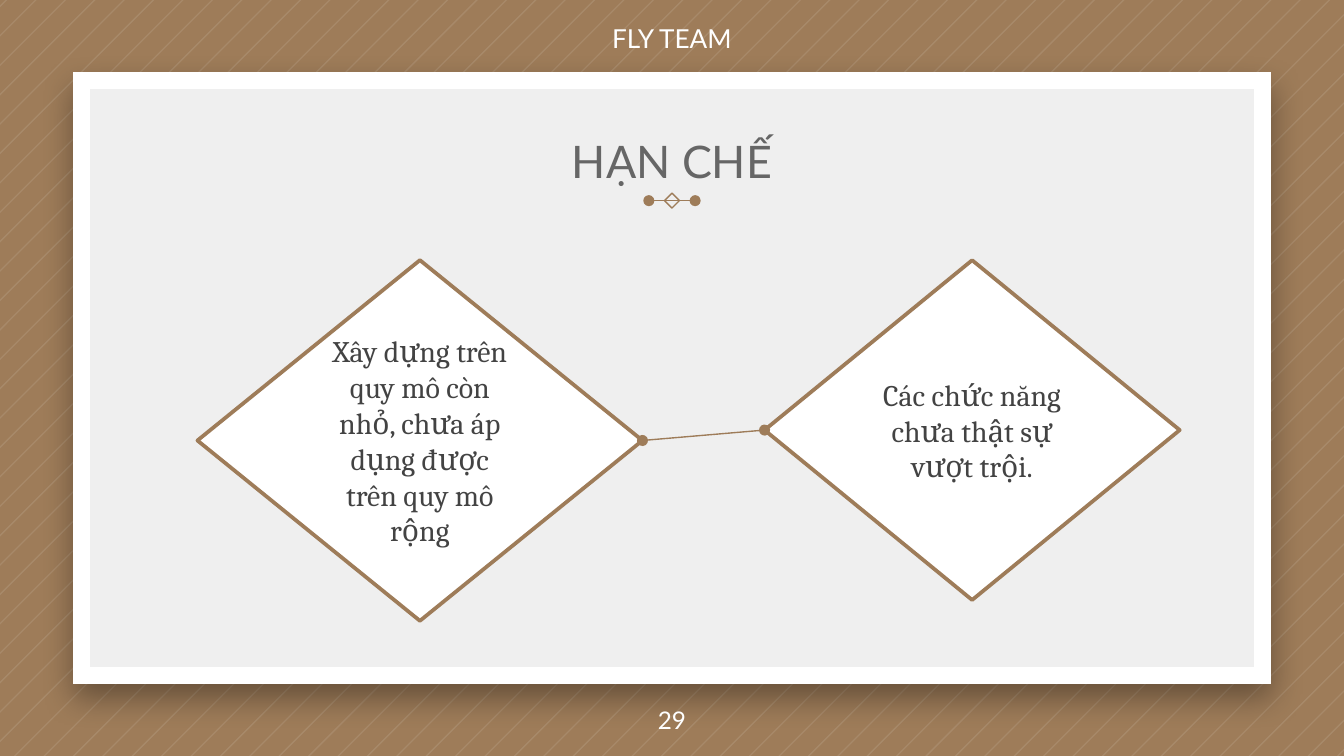
import pptx
import pptx.util
import pptx.dml.color
import pptx.enum.shapes
import pptx.enum.text
import pptx.oxml
import pptx.oxml.ns
from collections import namedtuple
from dataclasses import dataclass

Pt = pptx.util.Pt
SHAPE = pptx.enum.shapes.MSO_SHAPE
ANCHOR = pptx.enum.text.MSO_ANCHOR
Box = namedtuple("Box", "x y w h")


@dataclass(frozen=True)
class Theme:
    """Colours, fonts and type sizes of the slide."""
    brown: str = "9E7C59"
    white: str = "FFFFFF"
    panel: str = "EFEFEF"
    title: str = "666666"
    body: str = "434343"
    shadow: str = "000000"
    sans: str = "Lato"
    serif: str = "Cambria"
    title_size: int = 24
    body_size: int = 16
    header_size: int = 14
    number_size: int = 13


THEME = Theme()


def rgb(value):
    """Turn a hex string into a colour."""
    return pptx.dml.color.RGBColor.from_string(value)


def set_all(target, values):
    """Set every attribute named in a dict."""
    for name, value in values.items():
        setattr(target, name, value)


def add_xml(parent, xml):
    """Append a drawing element given as XML and return it."""
    head, gap, tail = xml.partition(" ")
    ns = pptx.oxml.ns.nsdecls("a")
    element = pptx.oxml.parse_xml(f"<a:{head} {ns} {tail}/>")
    parent.append(element)
    return element


def find_xml(parent, name):
    """Find the first drawing element of a name below the parent."""
    return parent.find(".//" + pptx.oxml.ns.qn("a:" + name))


def place(box):
    """Give a box in points as python-pptx lengths."""
    return [Pt(v) for v in box]


def write(sp, text, font, size, color, anchor=ANCHOR.MIDDLE, side=7.2):
    """Write one centred paragraph into a shape."""
    tf = sp.text_frame
    set_all(tf, dict(word_wrap=True, vertical_anchor=anchor,
                     auto_size=pptx.enum.text.MSO_AUTO_SIZE.NONE,
                     margin_left=Pt(side), margin_right=Pt(side),
                     margin_top=Pt(7.2), margin_bottom=Pt(7.2)))
    p = tf.paragraphs[0]
    p.alignment = pptx.enum.text.PP_ALIGN.CENTER
    r = p.add_run()
    r.text = text
    set_all(r.font, dict(name=font, size=Pt(size), bold=False))
    r.font.color.rgb = rgb(color)


def add_shape(s, kind, box, fill, line, width):
    """Add a flat preset shape; no fill when fill is None."""
    sp = s.shapes.add_shape(kind, *place(box))
    sp.shadow.inherit = False
    if fill:
        sp.fill.solid()
        sp.fill.fore_color.rgb = rgb(fill)
    else:
        sp.fill.background()
    sp.line.color.rgb = rgb(line)
    sp.line.width = Pt(width)
    return sp


def add_dotted_line(s, x1, y1, x2, y2):
    """Add a thin line with a dot at each end."""
    line = s.shapes.add_connector(pptx.enum.shapes.MSO_CONNECTOR.STRAIGHT,
                                  Pt(x1), Pt(y1), Pt(x2), Pt(y2))
    line.line.color.rgb = rgb(THEME.brown)
    line.line.width = Pt(0.75)
    for end in ("headEnd", "tailEnd"):
        add_xml(find_xml(line.element.spPr, "ln"), f'{end} type="oval"')
    add_xml(line.element.spPr, "effectLst")
    return line


def backdrop(s, box):
    """Fill the background and cover the box with diagonal stripes."""
    s.background.fill.solid()
    s.background.fill.fore_color.rgb = rgb(THEME.brown)
    first, step, width, count = 3, 15.75, 1, 72

    def ends(c):
        """Top and bottom ends of the diagonal x + y = c in the box."""
        top = box.x + min(c, box.w), box.y + max(0, c - box.w)
        bottom = box.x + max(0, c - box.h), box.y + min(c, box.h)
        return place(top), place(bottom)

    builder = None
    for i in range(count):
        c = first + i * step
        (top, bottom), (top2, bottom2) = ends(c), ends(c + width)
        if builder is None:
            builder = s.shapes.build_freeform(*top, scale=1.0)
        else:
            builder.move_to(*top)
        builder.add_line_segments([bottom, bottom2, top2], close=True)
    sp = builder.convert_to_shape()
    sp.shadow.inherit = False
    sp.fill.solid()
    sp.fill.fore_color.rgb = rgb(THEME.white)
    add_xml(find_xml(sp.element.spPr, "srgbClr"), 'alpha val="10000"')
    sp.line.fill.background()


def panel(s, box):
    """Add the framed panel with its soft shadow."""
    sp = add_shape(s, SHAPE.RECTANGLE, box, THEME.panel, THEME.white, 9)
    spPr = sp.element.spPr
    add_xml(find_xml(spPr, "ln"), 'miter lim="800000"')
    shadow = add_xml(find_xml(spPr, "effectLst"),
                     f'outerShdw blurRad="{Pt(16.9)}" dist="{Pt(7.5)}" '
                     'dir="5400000" algn="t" rotWithShape="0"')
    color = add_xml(shadow, f'srgbClr val="{THEME.shadow}"')
    add_xml(color, 'alpha val="35000"')


def heading(s, box, text):
    """Place the title and the ornament under it."""
    mid, base = box.x + box.w / 2, box.y + box.h
    add_dotted_line(s, mid - 12.4, base, mid + 12.4, base)
    add_shape(s, SHAPE.DIAMOND, Box(mid - 4, base - 4, 8, 8),
              None, THEME.brown, 0.75)
    sp = s.shapes.title
    set_all(sp, dict(zip(("left", "top", "width", "height"), place(box))))
    write(sp, text, THEME.sans, THEME.title_size, THEME.title, ANCHOR.BOTTOM)
    sp.element.getparent().append(sp.element)


def limits(s, box, texts):
    """Place two diamonds at the sides of the box and join them."""
    sizes = (238.4, 193.2), (222.4, 182)
    lefts = box.x, box.x + box.w - sizes[1][0]
    diamonds = []
    for text, x, (w, h) in zip(texts, lefts, sizes):
        sp = add_shape(s, SHAPE.DIAMOND, Box(x, box.y, w, h),
                       THEME.white, THEME.brown, 2)
        write(sp, text, THEME.serif, THEME.body_size, THEME.body, side=7.5)
        diamonds.append(sp)
    line = add_dotted_line(s, 0, 0, 1, 1)
    line.begin_connect(diamonds[0], 3)
    line.end_connect(diamonds[1], 1)


def caption(s, box, text, size):
    """Add a white line of text centred in the box."""
    sp = s.shapes.add_textbox(*place(box))
    write(sp, text, THEME.sans, size, THEME.white)


def main():
    """Build the slide and save it."""
    prs = pptx.Presentation()
    page = Box(0, 0, 720, 405)
    set_all(prs, dict(slide_width=Pt(page.w), slide_height=Pt(page.h)))
    s = prs.slides.add_slide(prs.slide_layouts[5])
    backdrop(s, page)
    panel(s, Box(43.6, 43, 632.8, 318.9))
    heading(s, Box(71, 60, 578, 47.5), "HẠN CHẾ")
    caption(s, Box(0, 366, page.w, 39), "29", THEME.number_size)
    limits(s, Box(105.8, 139.4, 526.2, 193.2),
           ["Xây dựng trên quy mô còn nhỏ, chưa áp dụng được trên quy mô rộng",
            "Các chức năng chưa thật sự vượt trội."])
    caption(s, Box(242, 5.8, 236, 29.6), "FLY TEAM", THEME.header_size)
    prs.save("out.pptx")


main()
